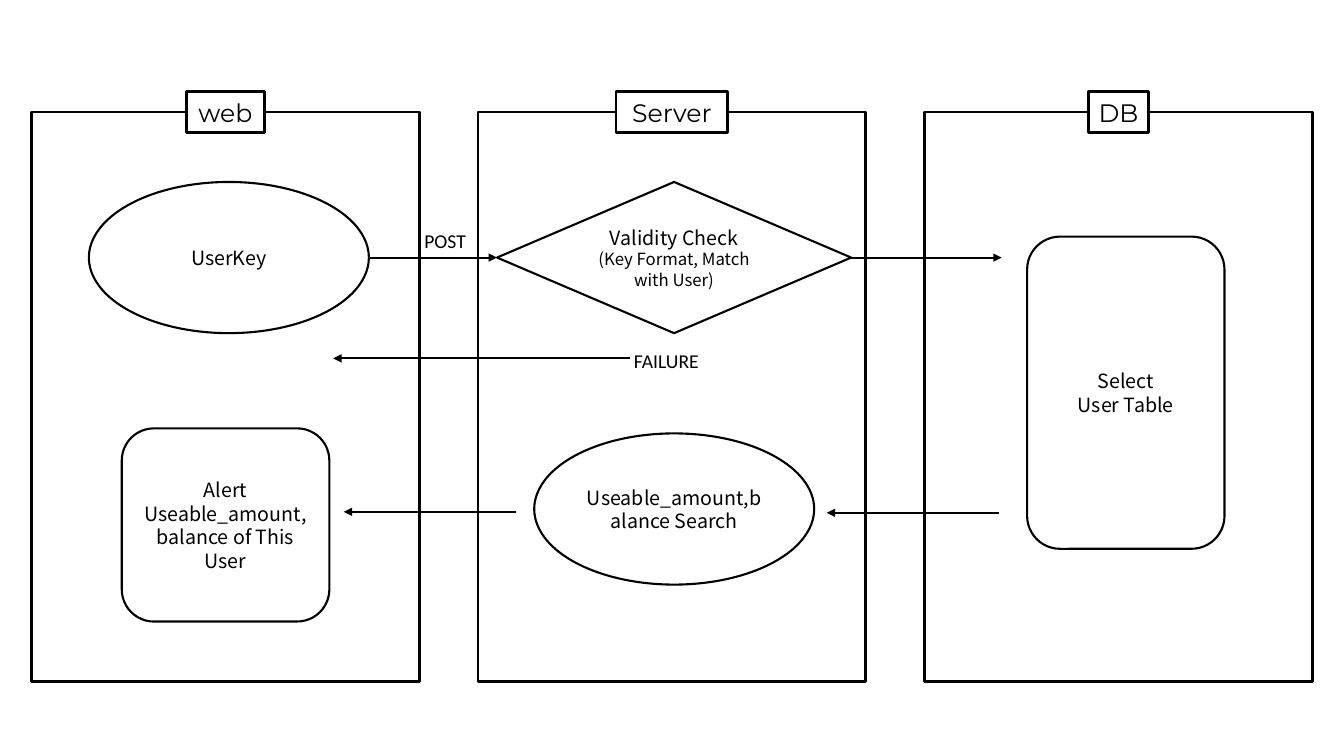
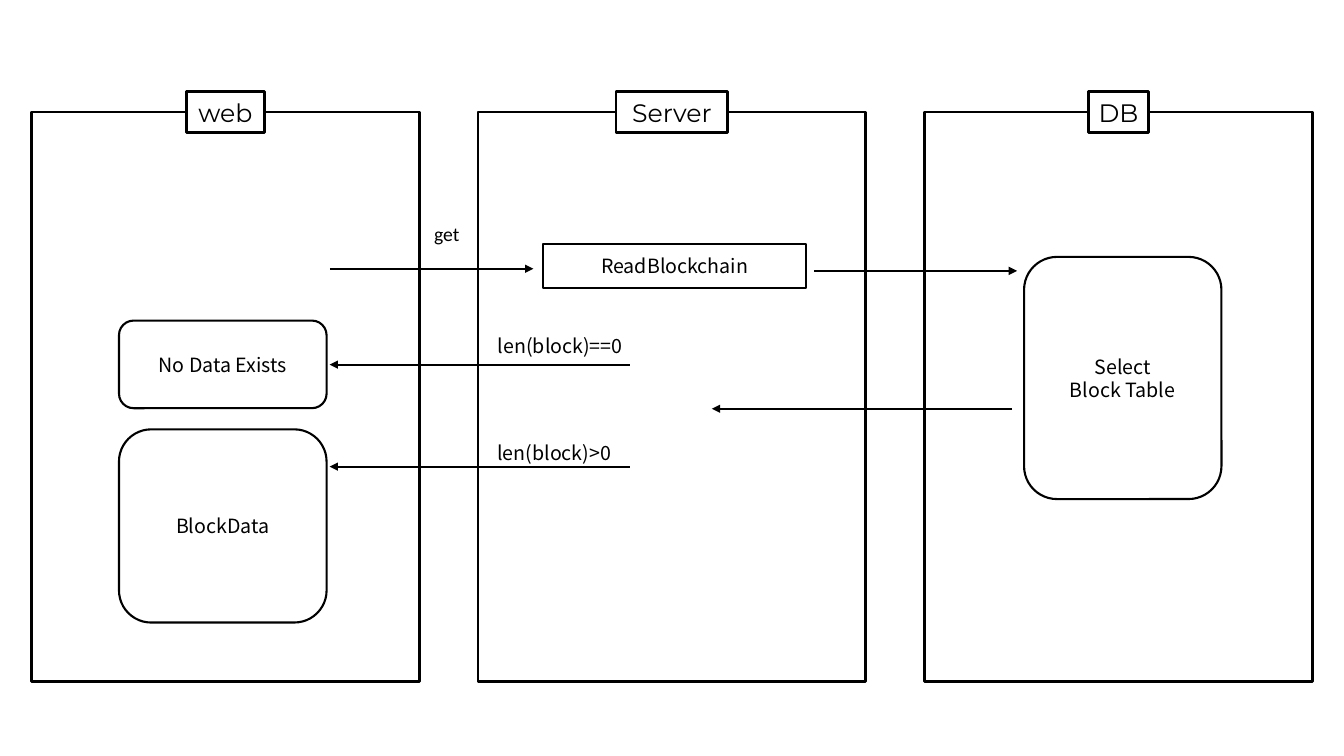
import dataclasses

import lxml.etree
import pptx
import pptx.dml.color
import pptx.enum.shapes
import pptx.enum.text
import pptx.oxml.ns
import pptx.util

Pt = pptx.util.Pt
KIND = pptx.enum.shapes.MSO_SHAPE
ALIGN = pptx.enum.text.PP_ALIGN
ANCHOR = pptx.enum.text.MSO_ANCHOR

BLACK, WHITE = "000000", "FFFFFF"
SANS, HEAD, PLAIN = "Noto Sans CJK KR", "Montserrat", "Calibri"
THIN, THICK = 1.5, 2
LANE_X, LANE_Y, LANE_W, LANE_H = 22.5, 80, 277, 407
LANE_STEP = 319
TAB_H = 29
ROW_GAP = 1.2


@dataclasses.dataclass
class Box:
    x: float
    y: float
    w: float
    h: float


@dataclasses.dataclass
class Node:
    kind: KIND
    box: Box
    text: str
    sizes: tuple = (14,)


@dataclasses.dataclass
class Arrow:
    x: float
    y: float
    end: float


@dataclasses.dataclass
class Label:
    box: Box
    text: str
    font: str = PLAIN


@dataclasses.dataclass
class Lane:
    name: str
    tab_w: float


@dataclasses.dataclass
class Flow:
    nodes: list
    arrows: list
    labels: list


LANES = [Lane("web", 55.5), Lane("Server", 80), Lane("DB", 43)]

KEY_FLOW = Flow(
    nodes=[
        Node(KIND.OVAL, Box(63.5, 130, 200, 108), "UserKey"),
        Node(KIND.FLOWCHART_DECISION, Box(355, 130, 253, 108),
             "Validity Check\n(Key Format, Match with User)", (14, 12)),
        Node(KIND.ROUNDED_RECTANGLE, Box(733.7, 169, 141, 223),
             "Select\nUser Table"),
        Node(KIND.ROUNDED_RECTANGLE, Box(87, 306, 148.3, 138),
             "Alert\nUseable_amount,balance of This User"),
        Node(KIND.OVAL, Box(381.6, 309.6, 200, 108),
             "Useable_amount,balance Search"),
    ],
    arrows=[
        Arrow(263.5, 184, 355), Arrow(608, 184, 715.5),
        Arrow(713.5, 366.3, 590.5), Arrow(368.5, 365.6, 245.5),
        Arrow(450, 256, 238),
    ],
    labels=[
        Label(Box(296, 160, 49.5, 24.3), "POST"),
        Label(Box(445.7, 245.5, 68, 24.3), "FAILURE"),
    ],
)

BLOCK_FLOW = Flow(
    nodes=[
        Node(KIND.ROUNDED_RECTANGLE, Box(85, 229, 148.3, 62.6),
             "No Data Exists"),
        Node(KIND.ROUNDED_RECTANGLE, Box(85, 306.7, 148.3, 138),
             "BlockData"),
        Node(KIND.RECTANGLE, Box(388, 174, 188, 32), "ReadBlockchain"),
        Node(KIND.ROUNDED_RECTANGLE, Box(731.5, 183.5, 141, 173),
             "Select\nBlock Table"),
    ],
    arrows=[
        Arrow(235.7, 192, 381), Arrow(581.5, 193.5, 726.5),
        Arrow(450, 260.5, 235.5), Arrow(450, 333.3, 235.5),
        Arrow(723, 292, 508.5),
    ],
    labels=[
        Label(Box(303, 155, 36, 24.3), "get"),
        Label(Box(329.8, 231, 141, 32), "len(block)==0", SANS),
        Label(Box(325.5, 307, 141, 32), "len(block)>0", SANS),
    ],
)


def paint(hue: str) -> pptx.dml.color.RGBColor:
    return pptx.dml.color.RGBColor.from_string(hue)


def write(shape, text: str, *, font: str = SANS, sizes: tuple = (14,),
          hue: str = BLACK, align=ALIGN.CENTER, anchor=ANCHOR.MIDDLE,
          grow: bool = False) -> None:
    """Set one paragraph per line; the last size serves any further lines."""
    frame = shape.text_frame
    frame.word_wrap = not grow
    if grow:
        frame.auto_size = pptx.enum.text.MSO_AUTO_SIZE.SHAPE_TO_FIT_TEXT
    frame.vertical_anchor = anchor
    for rank, line in enumerate(text.split("\n")):
        para = frame.add_paragraph() if rank else frame.paragraphs[0]
        size = sizes[min(rank, len(sizes) - 1)]
        para.alignment = align
        if font == SANS:
            para.line_spacing = Pt(size * ROW_GAP)
        run = para.add_run()
        run.text = line
        run.font.size = Pt(size)
        run.font.name = font
        run.font.color.rgb = paint(hue)
        east = lxml.etree.SubElement(run.font._element,
                                     pptx.oxml.ns.qn("a:ea"))
        east.set("typeface", font)


def draw_shape(shapes, kind: KIND, box: Box, width: float, fill: str = ""):
    """Add an outlined shape, hollow unless a fill is given."""
    shape = shapes.add_shape(kind, Pt(box.x), Pt(box.y), Pt(box.w), Pt(box.h))
    shape.shadow.inherit = False
    if fill:
        shape.fill.solid()
        shape.fill.fore_color.rgb = paint(fill)
    else:
        shape.fill.background()
    shape.line.color.rgb = paint(BLACK)
    shape.line.width = Pt(width)
    return shape


def draw_lane(shapes, lane: Lane, rank: int) -> None:
    group = shapes.add_group_shape().shapes
    left = LANE_X + rank * LANE_STEP
    draw_shape(group, KIND.RECTANGLE, Box(left, LANE_Y, LANE_W, LANE_H), THICK)
    tab = Box(left + (LANE_W - lane.tab_w) / 2, LANE_Y - TAB_H / 2,
              lane.tab_w, TAB_H)
    shape = draw_shape(group, KIND.RECTANGLE, tab, THICK, WHITE)
    write(shape, lane.name, font=HEAD, sizes=(18,), grow=True)


def draw_node(shapes, node: Node) -> None:
    shape = draw_shape(shapes, node.kind, node.box, THIN)
    write(shape, node.text, sizes=node.sizes)


def draw_arrow(shapes, arrow: Arrow) -> None:
    line = shapes.add_connector(
        pptx.enum.shapes.MSO_CONNECTOR.STRAIGHT,
        Pt(arrow.x), Pt(arrow.y), Pt(arrow.end), Pt(arrow.y))
    line.line.color.rgb = paint(BLACK)
    line.line.width = Pt(THIN)
    qn = pptx.oxml.ns.qn
    props = line._element.spPr
    lxml.etree.SubElement(props.find(qn("a:ln")), qn("a:tailEnd"),
                          type="triangle")
    lxml.etree.SubElement(props, qn("a:effectLst"))


def draw_label(shapes, label: Label) -> None:
    box = label.box
    shape = shapes.add_textbox(Pt(box.x), Pt(box.y), Pt(box.w), Pt(box.h))
    if label.font == PLAIN:
        write(shape, label.text, font=PLAIN, align=ALIGN.LEFT,
              anchor=ANCHOR.TOP, grow=True)
    else:
        write(shape, label.text, font=label.font)


def draw_flow(deck, flow: Flow) -> None:
    shapes = deck.slides.add_slide(deck.slide_layouts[6]).shapes
    for rank, lane in enumerate(LANES):
        draw_lane(shapes, lane, rank)
    for node in flow.nodes:
        draw_node(shapes, node)
    for arrow in flow.arrows:
        draw_arrow(shapes, arrow)
    for label in flow.labels:
        draw_label(shapes, label)


def main() -> None:
    deck = pptx.Presentation()
    deck.slide_width, deck.slide_height = Pt(960), Pt(540)
    for flow in (KEY_FLOW, BLOCK_FLOW):
        draw_flow(deck, flow)
    deck.save("out.pptx")


if __name__ == "__main__":
    main()
